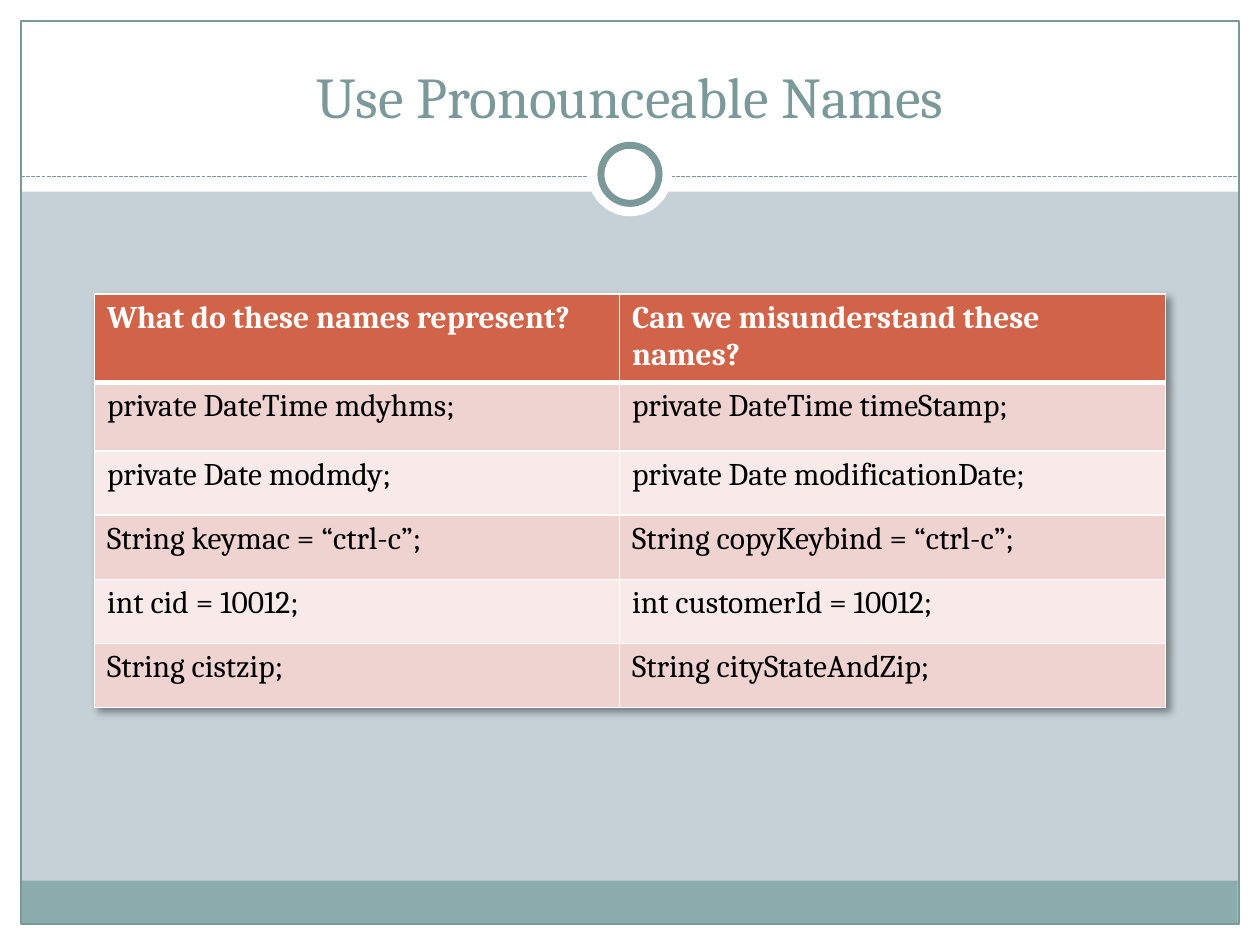
from dataclasses import dataclass
from typing import Optional

from lxml.etree import SubElement
from pptx import Presentation
from pptx.dml.color import RGBColor
from pptx.enum.dml import MSO_LINE
from pptx.enum.shapes import MSO_CONNECTOR, MSO_SHAPE
from pptx.enum.text import MSO_ANCHOR, PP_ALIGN
from pptx.oxml import parse_xml
from pptx.oxml.ns import nsdecls, qn
from pptx.util import Pt


@dataclass(frozen=True)
class Theme:
    font: str = "Cambria"
    title_size: float = 33
    cell_size: float = 18
    background: str = "C5D1D7"
    white: str = "FFFFFF"
    black: str = "000000"
    accent: str = "7C999A"
    footer: str = "8CADAE"
    header: str = "D16349"
    bands: tuple = ("EED3D0", "F7EAE9")


@dataclass(frozen=True)
class Panel:
    x: float
    y: float
    w: float
    h: float
    fill: Optional[str] = None
    line: Optional[str] = None
    weight: float = 0.75
    kind: MSO_SHAPE = MSO_SHAPE.RECTANGLE


T = Theme()
W, H, MARGIN = 720, 540, 12
RULE_Y = 100.8

PANELS = [
    Panel(0, H - MARGIN, W, MARGIN, T.white),
    Panel(0, 0, W, 109.5, T.white),
    Panel(0, 0, MARGIN, H, T.white),
    Panel(W - MARGIN, 0, MARGIN, H, T.white),
    Panel(11.7, 503.3, 695.5, 24.5, T.footer),
    Panel(MARGIN, MARGIN, W - 2 * MARGIN, H - 2 * MARGIN, line=T.accent),
]
MEDALLION = [
    Panel(336, 75.6, 48, 48, T.white, kind=MSO_SHAPE.OVAL),
    Panel(343.4, 83, 33.2, 33.2, T.white, T.accent, 4, MSO_SHAPE.OVAL),
]

COLUMNS = (300, 312)
ROW_HEIGHTS = (36.6, 39.4, 36.6, 36.6, 36.6, 36.6)
ROWS = [
    ("What do these names represent?", "Can we misunderstand these names?"),
    ("private DateTime mdyhms;", "private DateTime timeStamp;"),
    ("private Date modmdy;", "private Date modificationDate;"),
    ("String keymac = “ctrl-c”;", "String copyKeybind = “ctrl-c”;"),
    ("int cid = 10012;", "int customerId = 10012;"),
    ("String cistzip;", "String cityStateAndZip;"),
]


def rgb(color: str) -> RGBColor:
    return RGBColor.from_string(color)


def put_text(tf, text: str, *, size: float, color: str, bold: bool = False,
             align=PP_ALIGN.LEFT, anchor=MSO_ANCHOR.TOP) -> None:
    tf.word_wrap = True
    tf.vertical_anchor = anchor
    p = tf.paragraphs[0]
    p.alignment = align
    r = p.add_run()
    r.text = text
    r.font.name, r.font.size, r.font.bold = T.font, Pt(size), bold
    r.font.color.rgb = rgb(color)


def add_panel(s, panel: Panel) -> None:
    sp = s.shapes.add_shape(panel.kind, Pt(panel.x), Pt(panel.y),
                            Pt(panel.w), Pt(panel.h))
    sp.shadow.inherit = False
    if panel.fill:
        sp.fill.solid()
        sp.fill.fore_color.rgb = rgb(panel.fill)
    else:
        sp.fill.background()
    if panel.line:
        sp.line.color.rgb = rgb(panel.line)
        sp.line.width = Pt(panel.weight)
    else:
        sp.line.fill.background()


def add_rule(s, y: float) -> None:
    ln = s.shapes.add_connector(MSO_CONNECTOR.STRAIGHT, Pt(MARGIN), Pt(y),
                                Pt(W - MARGIN), Pt(y))
    ln.line.color.rgb = rgb(T.accent)
    ln.line.width = Pt(0.75)
    ln.line.dash_style = MSO_LINE.SQUARE_DOT
    SubElement(ln._element.spPr, qn("a:effectLst"))


def set_borders(cell, **weights: float) -> None:
    """Insert the cell borders ahead of the fill, in schema order."""
    tc_pr = cell._tc.get_or_add_tcPr()
    for i, side in enumerate("LRTB"):
        width = Pt(weights.get(side, 1))
        tc_pr.insert(i, parse_xml(
            f'<a:ln{side} {nsdecls("a")} w="{width}"><a:solidFill>'
            f'<a:srgbClr val="{T.white}"/></a:solidFill></a:ln{side}>'))


def add_shadow(table) -> None:
    table._tbl.tblPr.insert(0, parse_xml(
        f'<a:effectLst {nsdecls("a")}><a:outerShdw blurRad="{Pt(4)}" '
        f'dist="{Pt(3)}" dir="2700000" algn="tl" rotWithShape="0">'
        f'<a:srgbClr val="{T.black}"><a:alpha val="40000"/></a:srgbClr>'
        '</a:outerShdw></a:effectLst>'))


def add_names_table(s, x: float, y: float) -> None:
    table = s.shapes.add_table(len(ROWS), len(COLUMNS), Pt(x), Pt(y),
                               Pt(sum(COLUMNS)), Pt(sum(ROW_HEIGHTS))).table
    add_shadow(table)
    for column, width in zip(table.columns, COLUMNS):
        column.width = Pt(width)
    for i, (row, height, texts) in enumerate(zip(table.rows, ROW_HEIGHTS, ROWS)):
        row.height = Pt(height)
        head = i == 0
        for cell, text in zip(row.cells, texts):
            cell.fill.solid()
            cell.fill.fore_color.rgb = rgb(T.header if head else T.bands[(i - 1) % 2])
            set_borders(cell, B=3 if head else 1, T=3 if i == 1 else 1)
            put_text(cell.text_frame, text, size=T.cell_size, bold=head,
                     color=T.white if head else T.black)


def main() -> None:
    prs = Presentation()
    prs.slide_width, prs.slide_height = Pt(W), Pt(H)
    s = prs.slides.add_slide(prs.slide_layouts[6])
    s.background.fill.solid()
    s.background.fill.fore_color.rgb = rgb(T.background)

    # Frame, dashed rule and medallion
    for panel in PANELS:
        add_panel(s, panel)
    add_rule(s, RULE_Y)
    for panel in MEDALLION:
        add_panel(s, panel)

    # Title
    title = s.shapes.add_textbox(Pt(24), Pt(18), Pt(672), Pt(60))
    put_text(title.text_frame, "Use Pronounceable Names", size=T.title_size,
             color=T.accent, align=PP_ALIGN.CENTER, anchor=MSO_ANCHOR.BOTTOM)

    # Comparison of names
    add_names_table(s, 54, 168)
    prs.save("out.pptx")


if __name__ == "__main__":
    main()
